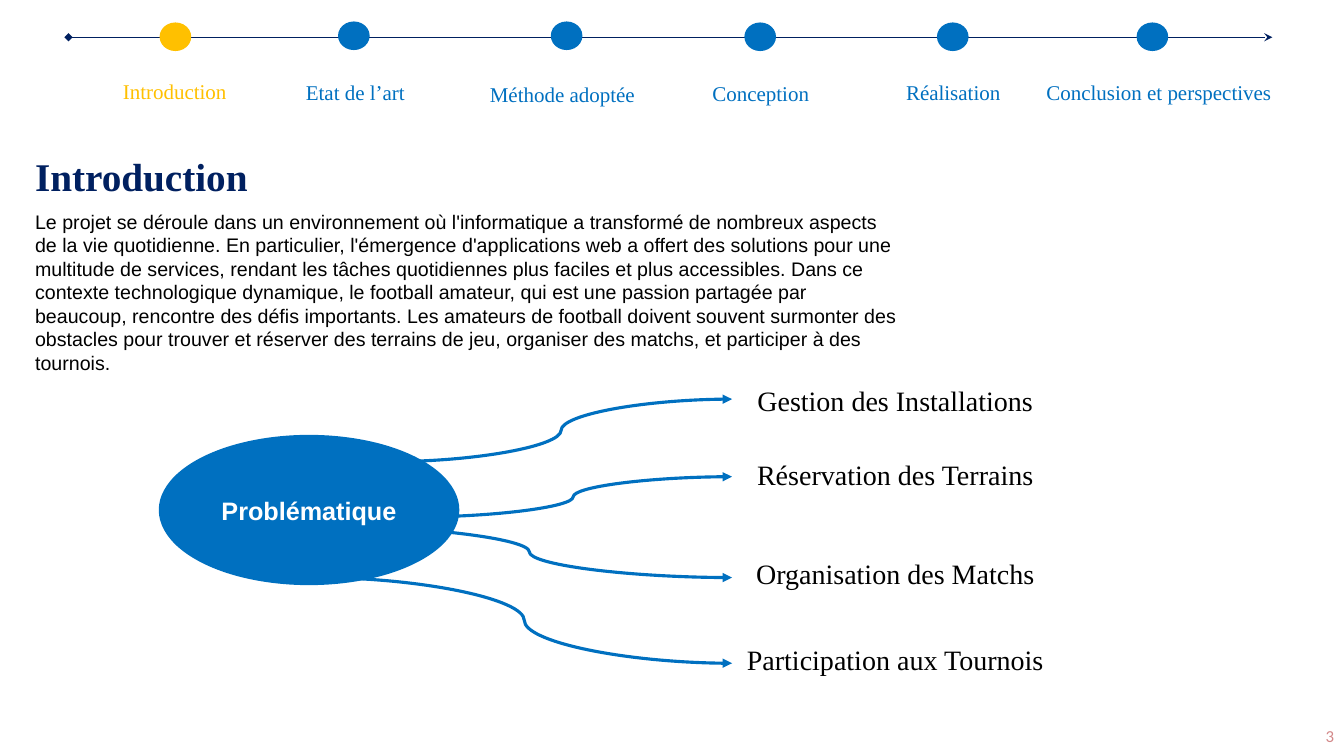
"""Build the introduction slide: progress line, context text and problem map."""
from pptx import Presentation
from pptx.dml.color import RGBColor
from pptx.enum.shapes import MSO_CONNECTOR, MSO_SHAPE
from pptx.enum.text import MSO_ANCHOR, PP_ALIGN
from pptx.util import Inches, Pt
from lxml import etree

LINE, CURVE = MSO_CONNECTOR.STRAIGHT, MSO_CONNECTOR.CURVE
OVAL = MSO_SHAPE.OVAL
LEFT, MID, RIGHT = PP_ALIGN.LEFT, PP_ALIGN.CENTER, PP_ALIGN.RIGHT
TOP, CENTER = MSO_ANCHOR.TOP, MSO_ANCHOR.MIDDLE
NS = "http://schemas.openxmlformats.org/drawingml/2006/main"

THEME = {
    "navy": "002060", "blue": "0070C0", "gold": "FFC000", "rose": "D38889",
    "black": "000000", "white": "FFFFFF",
    "serif": "Times New Roman", "sans": "Arial", "plain": "Calibri",
    "title": 28, "topic": 20, "hub": 18, "step": 15, "body": 14, "page": 12,
}

TITLE = "Introduction"
BODY = (
    "Le projet se déroule dans un environnement où l'informatique a transformé "
    "de nombreux aspects de la vie quotidienne. En particulier, l'émergence "
    "d'applications web a offert des solutions pour une multitude de services, "
    "rendant les tâches quotidiennes plus faciles et plus accessibles. Dans ce "
    "contexte technologique dynamique, le football amateur, qui est une passion "
    "partagée par beaucoup, rencontre des défis importants. Les amateurs de "
    "football doivent souvent surmonter des obstacles pour trouver et réserver "
    "des terrains de jeu, organiser des matchs, et participer à des tournois."
)
HUB = "Problématique"
PAGE = "3"

# label, colour, dot left, dot top, label left, label top, label width, align
STEPS = [
    ("Introduction", "gold", 1.59, 0.23, 1.12, 0.73, 1.36, LEFT),
    ("Etat de l’art", "blue", 3.36, 0.22, 2.42, 0.74, 2.21, MID),
    ("Méthode adoptée", "blue", 5.47, 0.22, 4.76, 0.76, 2.21, LEFT),
    ("Conception", "blue", 7.39, 0.23, 6.64, 0.75, 1.81, MID),
    ("Réalisation", "blue", 9.3, 0.23, 8.84, 0.74, 1.23, MID),
    ("Conclusion et perspectives", "blue", 11.28, 0.23, 10.28, 0.74, 2.6, LEFT),
]

# label, label top, curve start x and y, curve end y
TOPICS = [
    ("Gestion des Installations", 3.76, 3.87, 4.58, 3.96),
    ("Réservation des Terrains", 4.49, 4.11, 5.13, 4.73),
    ("Organisation des Matchs", 5.47, 3.24, 5.22, 5.73),
    ("Participation aux Tournois", 6.33, 3.14, 5.73, 6.58),
]
TIP = 7.26


def color(name):
    return RGBColor.from_string(THEME[name])


def write(shape, text, size, font, ink, align=LEFT, anchor=TOP, bold=False):
    frame = shape.text_frame
    frame.text = text
    frame.word_wrap = True
    frame.vertical_anchor = anchor
    para = frame.paragraphs[0]
    para.alignment = align
    face = para.runs[0].font
    face.name, face.size, face.bold = THEME[font], Pt(THEME[size]), bold
    face.color.rgb = color(ink)


def label(slide, box, *style, **more):
    write(slide.shapes.add_textbox(*map(Inches, box)), *style, **more)


def oval(slide, box, ink, width):
    shape = slide.shapes.add_shape(OVAL, *map(Inches, box))
    shape.shadow.inherit = False
    shape.fill.solid()
    shape.fill.fore_color.rgb = color(ink)
    shape.line.color.rgb = color(ink)
    shape.line.width = Pt(width)
    return shape


def link(slide, kind, ends, ink, width, **tips):
    wire = slide.shapes.add_connector(kind, *map(Inches, ends))
    wire.line.color.rgb = color(ink)
    wire.line.width = Pt(width)
    props = wire.line._get_or_add_ln()
    for end, shape in tips.items():
        etree.SubElement(props, f"{{{NS}}}{end}", type=shape)
    etree.SubElement(wire._element.spPr, f"{{{NS}}}effectLst")


def main():
    deck = Presentation()
    deck.slide_width, deck.slide_height = Inches(13.33), Inches(7.5)
    slide = deck.slides.add_slide(deck.slide_layouts[6])

    label(slide, (0.25, 1.46, 3.2, 0.57), TITLE, "title", "serif", "navy", bold=True)
    label(slide, (0.25, 2.03, 8.8, 1.51), BODY, "body", "sans", "black")
    label(slide, (10.33, 7.1, 3, 0.4), PAGE, "page", "plain", "rose", RIGHT, CENTER)

    link(slide, LINE, (0.68, 0.37, 12.62, 0.37), "navy", 0.75,
         headEnd="diamond", tailEnd="stealth")
    for text, ink, x, y, left, top, width, align in STEPS:
        oval(slide, (x, y, 0.3, 0.27), ink, 1)
        label(slide, (left, top, width, 0.35), text, "step", "serif", ink, align)

    for text, top, x, y, end in TOPICS:
        link(slide, CURVE, (x, y, TIP, end), "blue", 2.25, tailEnd="triangle")
        label(slide, (6.91, top, 3.94, 0.44), text, "topic", "serif", "black", MID)
    hub = oval(slide, (1.59, 4.33, 2.95, 1.46), "blue", 2.25)
    write(hub, HUB, "hub", "sans", "white", MID, CENTER, True)

    deck.save("out.pptx")


if __name__ == "__main__":
    main()
